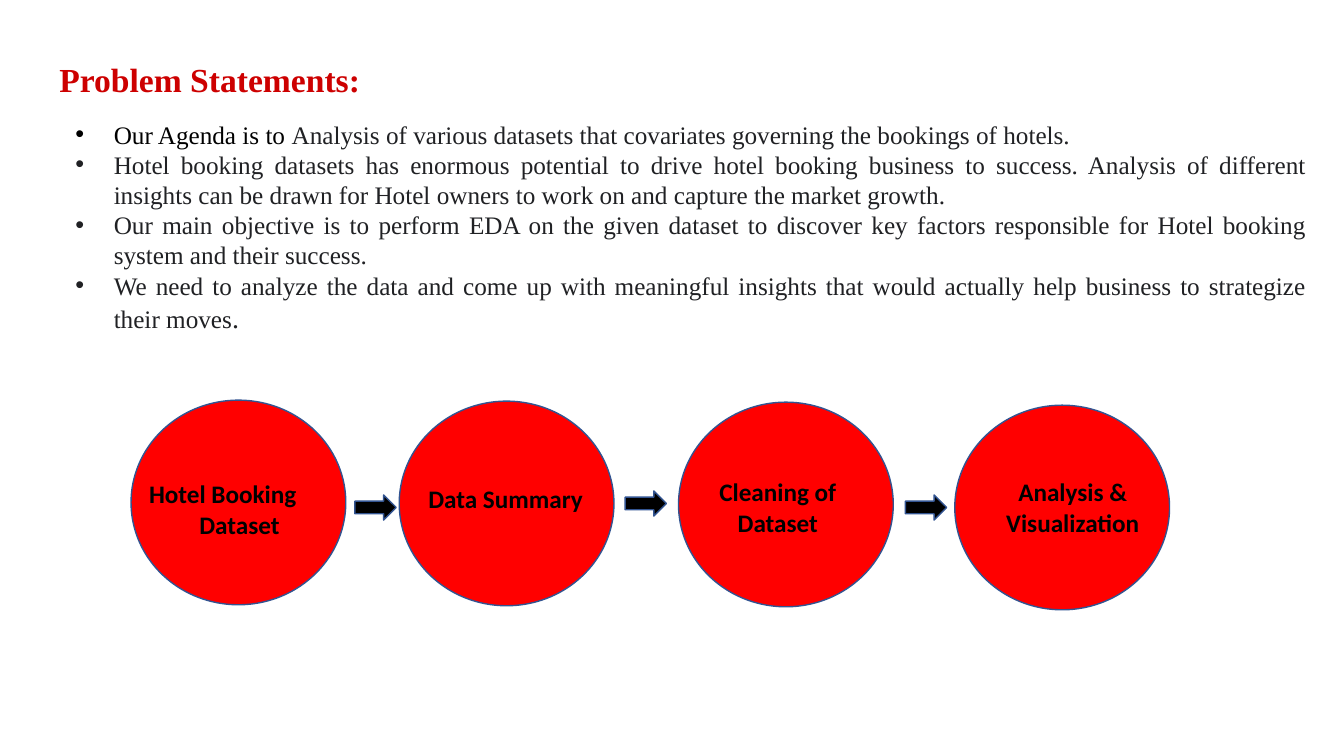
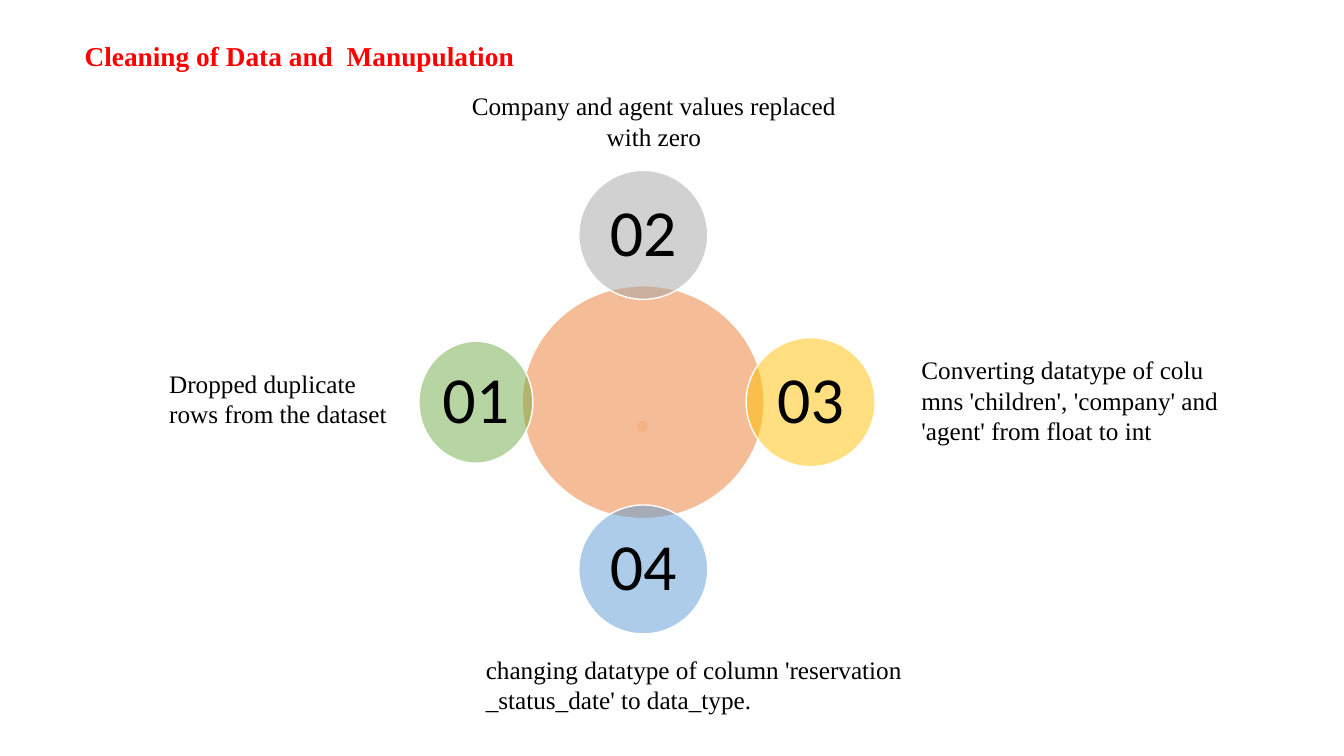
from lxml.etree import SubElement
from pptx import Presentation
from pptx.dml.color import RGBColor
from pptx.enum.shapes import MSO_SHAPE as Preset
from pptx.enum.text import MSO_ANCHOR as Anchor, PP_ALIGN as Align
from pptx.oxml.ns import qn
from pptx.util import Inches, Pt

SERIF, SANS = "Times New Roman", "Calibri"
COLORS = {
    "black": "000000", "white": "FFFFFF", "ink": "202124", "title": "CD0000",
    "red": "FF0000", "outline": "325491", "hub": "ED7D31", "dot": "F4B183",
    "gray": "A5A5A5", "gold": "FFC000", "blue": "5B9BD5", "green": "70AD47",
}
AGENDA = [
    [("Our Agenda is to ", "black", 18),
     ("Analysis of various datasets that covariates governing the bookings of hotels.", "ink", 18)],
    [("Hotel booking datasets has enormous potential to drive hotel booking business to success. "
      "Analysis of different insights can be drawn for Hotel owners to work on and capture the "
      "market growth.", "ink", 18)],
    [("Our main objective is to perform EDA on the given dataset to discover key factors "
      "responsible for Hotel booking system and their success.", "ink", 18)],
    [("We need to analyze the data and come up with meaningful insights that would actually "
      "help business to strategize their moves", "ink", 18), (".", "ink", 20)],
]
CENTERED = (Align.CENTER, Align.CENTER)
STEPS = [
    (0, 0, ["Hotel Booking", "Dataset"], (0.08, 0.73, 1.99), (Align.LEFT, Align.CENTER)),
    (2.66, 0.01, ["Data Summary"], (0.19, 0.77, 1.99), (Align.LEFT,)),
    (5.43, 0.02, ["Cleaning of", "Dataset"], (0, 0.69, 1.97), CENTERED),
    (8.17, 0.05, ["Analysis &", "Visualization"], (0.33, 0.66, 1.68), CENTERED),
]
ARROWS = [(2.22, 0.94), (4.9, 0.9), (7.68, 0.94)]
SATELLITES = [
    ("02", "gray", 0, -1, 1.28, 1.28), ("03", "gold", 1, 0, 1.28, 1.28),
    ("04", "blue", 0, 1, 1.28, 1.28), ("01", "green", -1, 0, 1.13, 1.21),
]
CAPTIONS = [
    ("Dropped duplicate\nrows from the dataset", (1.58, 3.6, 2.53, 0.71), Align.LEFT),
    ("Company and agent values replaced\nwith zero", (4.48, 0.85, 4.01, 1.01), Align.CENTER),
    ("Converting datatype of colu\nmns 'children', 'company' and\n'agent' from float to int",
     (9.04, 3.47, 3.18, 1.31), Align.LEFT),
    ("changing datatype of column 'reservation\n_status_date' to data_type.",
     (4.72, 6.44, 4.43, 1.01), Align.LEFT),
]


def rgb(name):
    """Look up a named colour."""
    return RGBColor.from_string(COLORS[name])


def write(paragraph, text, size=18, font=SERIF, color="black", bold=False,
          align=Align.LEFT, spacing=None):
    """Append formatted text to a paragraph, turning newlines into line breaks."""
    paragraph.alignment = align
    if spacing:
        paragraph.line_spacing = spacing
    for index, line in enumerate(text.split("\n")):
        if index:
            paragraph.add_line_break()
        run = paragraph.add_run()
        run.text = line
        run.font.size, run.font.name, run.font.bold = Pt(size), font, bold
        run.font.color.rgb = rgb(color)


def next_paragraph(frame, index):
    """Return the first paragraph of a frame, or a new one after it."""
    return frame.add_paragraph() if index else frame.paragraphs[0]


def add_frame(slide, box):
    """Add a wrapping text box and return its text frame."""
    frame = slide.shapes.add_textbox(*map(Inches, box)).text_frame
    frame.word_wrap = True
    return frame


def add_text(slide, box, text, **style):
    """Add a text box holding one paragraph."""
    write(add_frame(slide, box).paragraphs[0], text, **style)


def add_preset(slide, preset, box, fill, line, opacity=100):
    """Add a filled and outlined preset shape."""
    shape = slide.shapes.add_shape(preset, *map(Inches, box))
    shape.shadow.inherit = False
    shape.fill.solid()
    shape.fill.fore_color.rgb = rgb(fill)
    shape.line.color.rgb = rgb(line)
    shape.line.width = Pt(1)
    if opacity < 100:
        color = shape.fill._xPr.find(qn("a:solidFill"))[0]
        SubElement(color, qn("a:alpha")).set("val", str(opacity * 1000))
    return shape


def add_title(slide, box, text, **style):
    """Add a bold serif slide title."""
    add_text(slide, box, text, bold=True, **style)


def add_bullets(slide, box, items):
    """Add justified bullets, each made of coloured runs."""
    frame = add_frame(slide, box)
    for index, runs in enumerate(items):
        paragraph = next_paragraph(frame, index)
        for text, color, size in runs:
            write(paragraph, text, size=size, color=color, align=Align.JUSTIFY)
        properties = paragraph._p.get_or_add_pPr()
        properties.set("marL", str(Inches(0.38)))
        properties.set("indent", str(Inches(-0.38)))
        SubElement(properties, qn("a:buFont")).set("typeface", "Arial")
        SubElement(properties, qn("a:buChar")).set("char", "•")


def add_process(slide, left, top):
    """Add the row of labelled circles joined by arrows."""
    for x, y, _, _, _ in STEPS:
        add_preset(slide, Preset.OVAL, (left + x, top + y, 2.13, 2.03), "red", "outline")
    for x, y in ARROWS:
        add_preset(slide, Preset.RIGHT_ARROW, (left + x, top + y, 0.41, 0.25), "black", "outline")
    for x, y, lines, (label_x, label_y, width), aligns in STEPS:
        box = (left + x + label_x, top + y + label_y, width, 0.71)
        frame = add_frame(slide, box)
        for index, (line, align) in enumerate(zip(lines, aligns)):
            write(next_paragraph(frame, index), line, font=SANS, bold=True, align=align)


def add_disc(slide, center_x, center_y, width, height, fill, text, **style):
    """Add a half transparent circle with centred text."""
    box = (center_x - width / 2, center_y - height / 2, width, height)
    shape = add_preset(slide, Preset.OVAL, box, fill, "white", opacity=50)
    frame = shape.text_frame
    frame.margin_left = frame.margin_right = frame.margin_top = frame.margin_bottom = 0
    frame.vertical_anchor = Anchor.MIDDLE
    write(frame.paragraphs[0], text, font=SANS, align=Align.CENTER, spacing=0.9, **style)


def add_ring(slide, center_x, center_y, radius):
    """Add the hub and its four numbered satellites."""
    add_disc(slide, center_x, center_y, 2.4, 2.31, "hub", ".", size=65, color="dot")
    for number, fill, across, down, width, height in SATELLITES:
        add_disc(slide, center_x + across * radius, center_y + down * radius,
                 width, height, fill, number, size=47)


def build_problem_slide(slide):
    """Build the problem statement slide."""
    add_title(slide, (0.49, 0.54, 6.67, 0.5), "Problem Statements:", size=24, color="title")
    add_bullets(slide, (0.65, 1.13, 12.41, 3.16), AGENDA)
    add_process(slide, 1.3, 3.97)


def build_cleaning_slide(slide):
    """Build the data cleaning slide."""
    add_title(slide, (0.74, 0.38, 4.91, 0.47), "Cleaning of Data and  Manupulation",
              size=19.5, color="red", spacing=0.9)
    add_ring(slide, 6.38, 3.99, 1.66)
    for text, box, align in CAPTIONS:
        add_text(slide, box, text, align=align)


def main():
    """Create and save the presentation."""
    presentation = Presentation()
    presentation.slide_width, presentation.slide_height = Inches(13.33), Inches(7.5)
    for build in (build_problem_slide, build_cleaning_slide):
        build(presentation.slides.add_slide(presentation.slide_layouts[6]))
    presentation.save("out.pptx")


if __name__ == "__main__":
    main()
